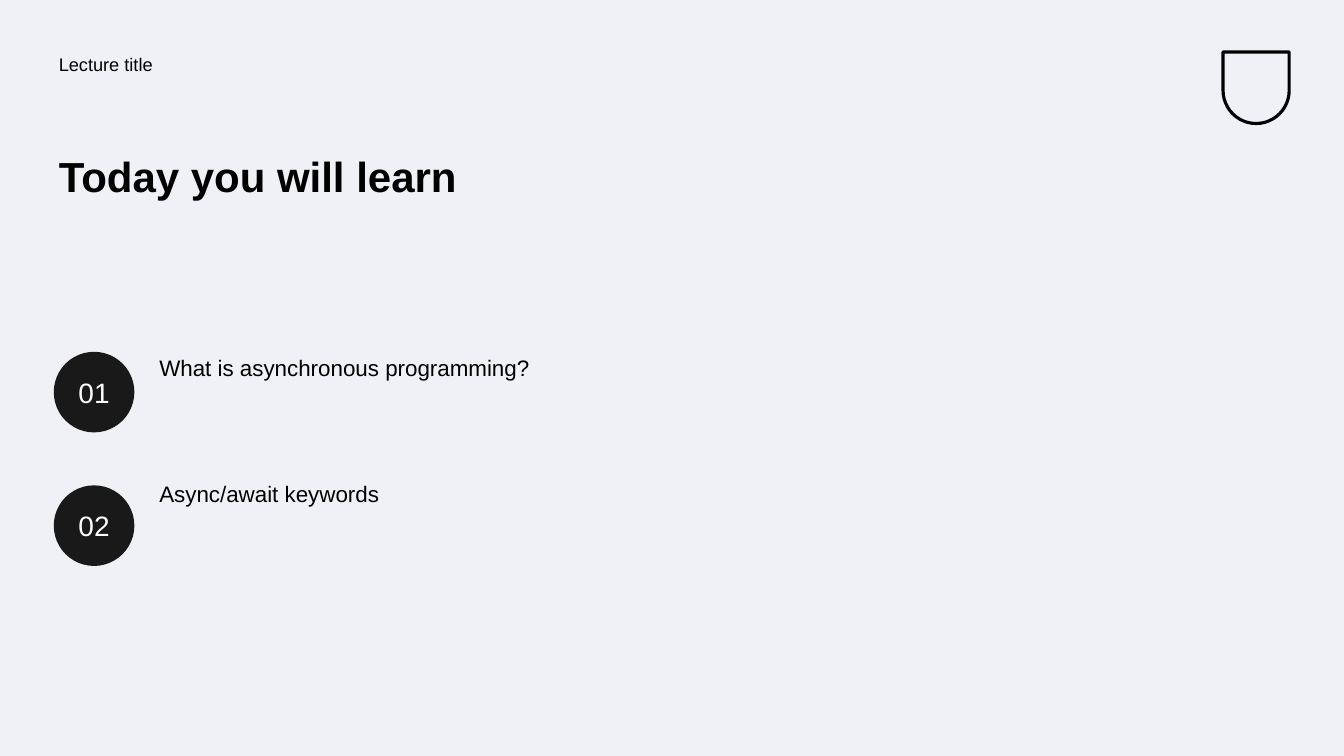
from dataclasses import dataclass

from pptx import Presentation
from pptx.dml.color import RGBColor
from pptx.enum.shapes import MSO_SHAPE
from pptx.enum.text import MSO_ANCHOR, PP_ALIGN
from pptx.util import Inches, Pt

WIDTH, HEIGHT = Inches(13.33), Inches(7.5)
COL, ROW = WIDTH / 25, HEIGHT / 15


@dataclass(frozen=True)
class Theme:
    font: str = "Arial"
    background: RGBColor = RGBColor(0xF0, 0xF1, 0xF6)
    ink: RGBColor = RGBColor(0x00, 0x00, 0x00)
    disc: RGBColor = RGBColor(0x19, 0x19, 0x19)
    disc_text: RGBColor = RGBColor(0xFE, 0xFF, 0xFF)
    label: Pt = Pt(13)
    title: Pt = Pt(30)
    topic: Pt = Pt(16)
    number: Pt = Pt(20)
    inset: Inches = Inches(0.05)
    line_spacing: float = 0.9


THEME = Theme()


def place(col, row, cols, rows):
    return round(col * COL), round(row * ROW), round(cols * COL), round(rows * ROW)


def write(sp, text, size, color, bold=False):
    tf = sp.text_frame
    tf.word_wrap = True
    tf.margin_left = tf.margin_right = THEME.inset
    tf.margin_top = tf.margin_bottom = THEME.inset
    tf.text = text
    p = tf.paragraphs[0]
    font = p.runs[0].font
    font.name, font.size, font.bold = THEME.font, size, bold
    font.color.rgb = color
    return p


def add_text(slide, box, text, size, bold=False):
    sp = slide.shapes.add_textbox(*place(*box))
    p = write(sp, text, size, THEME.ink, bold)
    p.line_spacing = THEME.line_spacing


def add_shield(slide, box):
    sp = slide.shapes.add_shape(MSO_SHAPE.ROUND_2_SAME_RECTANGLE, *place(*box))
    sp.shadow.inherit = False
    sp.adjustments[0] = 0.5
    sp.rotation = 180
    sp.fill.background()
    sp.line.color.rgb = THEME.ink
    sp.line.width = Pt(2.25)


def add_disc(slide, col, row, diameter, number):
    left, top, size, _ = place(col, row, diameter, 1)
    sp = slide.shapes.add_shape(MSO_SHAPE.OVAL, left, top, size, size)
    sp.shadow.inherit = False
    sp.fill.solid()
    sp.fill.fore_color.rgb = THEME.disc
    sp.line.fill.background()
    p = write(sp, f"{number:02d}", THEME.number, THEME.disc_text)
    p.alignment = PP_ALIGN.CENTER
    sp.text_frame.vertical_anchor = MSO_ANCHOR.MIDDLE


def add_header(slide, box, label, title):
    col, row, cols, rows = box
    add_text(slide, (col, row, 11.5, 1), label, THEME.label)
    add_text(slide, (col, row + 2, 10.58, rows - 2), title, THEME.title, bold=True)
    add_shield(slide, (col + cols - 1.25, row + 0.03, 1.23, 1.42))


def add_topics(slide, box, topics):
    col, row, cols, rows = box
    disc, text_offset, text_rows = 1.5, 1.87, 2
    disc_pitch, text_pitch = 2.65, rows - text_rows
    for i, topic in enumerate(topics):
        text_box = (col + text_offset, row + i * text_pitch,
                    cols - text_offset, text_rows)
        add_text(slide, text_box, topic, THEME.topic)
        add_disc(slide, col, row + i * disc_pitch, disc, i + 1)


def build_agenda(prs):
    slide = prs.slides.add_slide(prs.slide_layouts[6])
    slide.background.fill.solid()
    slide.background.fill.fore_color.rgb = THEME.background
    add_header(slide, (1, 1, 23, 5), "Lecture title", "Today you will learn")
    add_topics(slide, (1, 6.98, 10.55, 4.5),
               ["What is asynchronous programming?", "Async/await keywords"])


def main():
    prs = Presentation()
    prs.slide_width, prs.slide_height = WIDTH, HEIGHT
    build_agenda(prs)
    prs.save("out.pptx")


if __name__ == "__main__":
    main()
